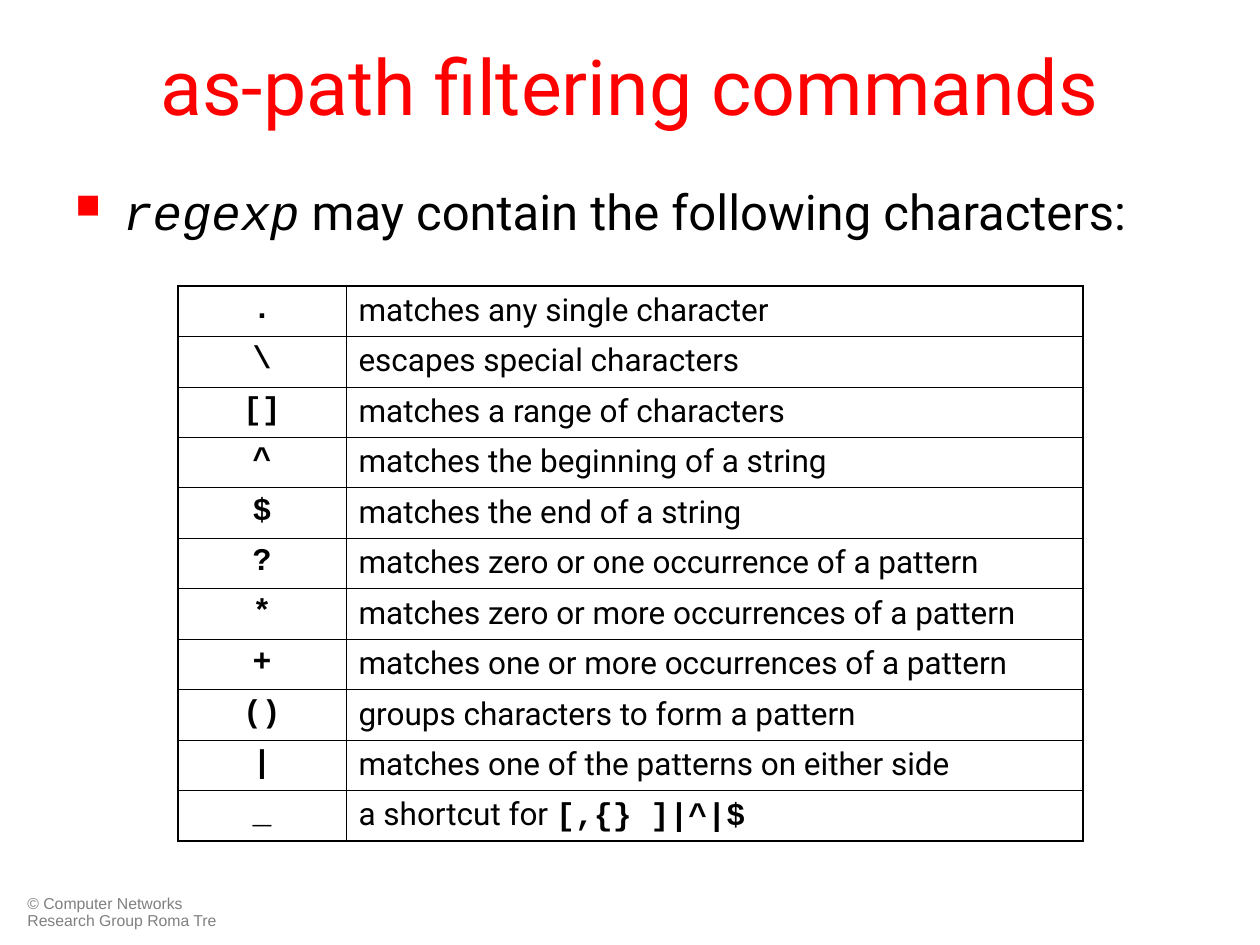
import lxml.etree
import pptx
import pptx.dml.color
import pptx.enum.text
import pptx.oxml.ns
import pptx.util

PX_PER_INCH = 126
RED = pptx.dml.color.RGBColor(0xFF, 0x00, 0x00)
BLACK = pptx.dml.color.RGBColor(0x00, 0x00, 0x00)
GREY = pptx.dml.color.RGBColor(0x80, 0x80, 0x80)
SANS, MONO, FOOTER_FONT = "Roboto", "Courier New", "Arial"
THICK, THIN = 1.08, 0.45
CENTER = pptx.enum.text.PP_ALIGN.CENTER
MIDDLE = pptx.enum.text.MSO_ANCHOR.MIDDLE

CHARACTERS = [
    (".", "matches any single character"),
    ("\\", "escapes special characters"),
    ("[]", "matches a range of characters"),
    ("^", "matches the beginning of a string"),
    ("$", "matches the end of a string"),
    ("?", "matches zero or one occurrence of a pattern"),
    ("*", "matches zero or more occurrences of a pattern"),
    ("+", "matches one or more occurrences of a pattern"),
    ("()", "groups characters to form a pattern"),
    ("|", "matches one of the patterns on either side"),
    ("_", "a shortcut for "),
]
SHORTCUT = "[,{} ]|^|$"


def px(length):
    return pptx.util.Emu(round(length * 914400 / PX_PER_INCH))


def add_element(parent, tag, **attributes):
    return lxml.etree.SubElement(parent, pptx.oxml.ns.qn(tag), attributes)


class SlideBuilder:
    def __init__(self, slide):
        self.slide = slide

    def style(self, font, name, size, color=BLACK):
        font.name = name
        font.size = pptx.util.Pt(size)
        font.color.rgb = color

    def text(self, left, top, width, height, words, name, size, color):
        box = self.slide.shapes.add_textbox(px(left), px(top), px(width), px(height))
        box.text_frame.word_wrap = True
        paragraph = box.text_frame.paragraphs[0]
        paragraph.text = words
        self.style(paragraph.font, name, size, color)
        return box.text_frame

    def bullet_line(self, left, top, width, height, term, rest, size):
        box = self.slide.shapes.add_textbox(px(left), px(top), px(width), px(height))
        box.text_frame.word_wrap = True
        paragraph = box.text_frame.paragraphs[0]
        properties = paragraph._p.get_or_add_pPr()
        properties.set("marL", str(px(48)))
        properties.set("indent", str(-px(48)))
        bullet_color = add_element(properties, "a:buClr")
        add_element(bullet_color, "a:srgbClr", val=str(RED))
        add_element(properties, "a:buSzPct", val="70000")
        add_element(properties, "a:buChar", char="■")
        for words, name, italic in ((term, MONO, True), (rest, SANS, False)):
            run = paragraph.add_run()
            run.text = words
            self.style(run.font, name, size)
            run.font.italic = italic

    def borders(self, cell, **widths):
        properties = cell._tc.get_or_add_tcPr()
        for side in "LRTB":
            line_width = str(pptx.util.Pt(widths[side]))
            line = add_element(properties, f"a:ln{side}", w=line_width)
            fill = add_element(line, "a:solidFill")
            add_element(fill, "a:srgbClr", val=str(BLACK))

    def character_table(self, left, top, column_widths, height, rows, size):
        table = self.slide.shapes.add_table(
            len(rows), len(column_widths),
            px(left), px(top), px(sum(column_widths)), px(height),
        ).table
        table.first_row = table.horz_banding = False
        for column, width in zip(table.columns, column_widths):
            column.width = px(width)
        last_row, last_column = len(rows) - 1, len(column_widths) - 1
        for i, row in enumerate(rows):
            for j, words in enumerate(row):
                cell = table.cell(i, j)
                self.borders(
                    cell,
                    L=THICK if j == 0 else THIN,
                    R=THICK if j == last_column else THIN,
                    T=THICK if i == 0 else THIN,
                    B=THICK if i == last_row else THIN,
                )
                cell.fill.background()
                paragraph = cell.text_frame.paragraphs[0]
                paragraph.text = words
                self.style(paragraph.font, SANS if j else MONO, size)
                paragraph.font.bold = j == 0
                if j == 0:
                    paragraph.alignment = CENTER
        return table


def main():
    presentation = pptx.Presentation()
    presentation.slide_width = px(1260)
    presentation.slide_height = px(945)
    builder = SlideBuilder(presentation.slides.add_slide(presentation.slide_layouts[6]))

    copyright_line = builder.text(
        15, 890, 218, 45, "© Computer Networks Research Group Roma Tre",
        FOOTER_FONT, 9, GREY,
    )
    copyright_line.paragraphs[0].line_spacing = 0.9

    title = builder.text(63, 26, 1134, 117, "as-path filtering commands", SANS, 44, RED)
    title.vertical_anchor = MIDDLE
    title.paragraphs[0].alignment = CENTER

    builder.bullet_line(
        63, 175, 1134, 83, "regexp", " may contain the following characters:", 28
    )

    table = builder.character_table(178, 286, (168, 737), 555, CHARACTERS, 18)
    shortcut = table.cell(len(CHARACTERS) - 1, 1).text_frame.paragraphs[0].add_run()
    shortcut.text = SHORTCUT
    shortcut.font.name = MONO
    shortcut.font.bold = True

    presentation.save("out.pptx")


if __name__ == "__main__":
    main()
